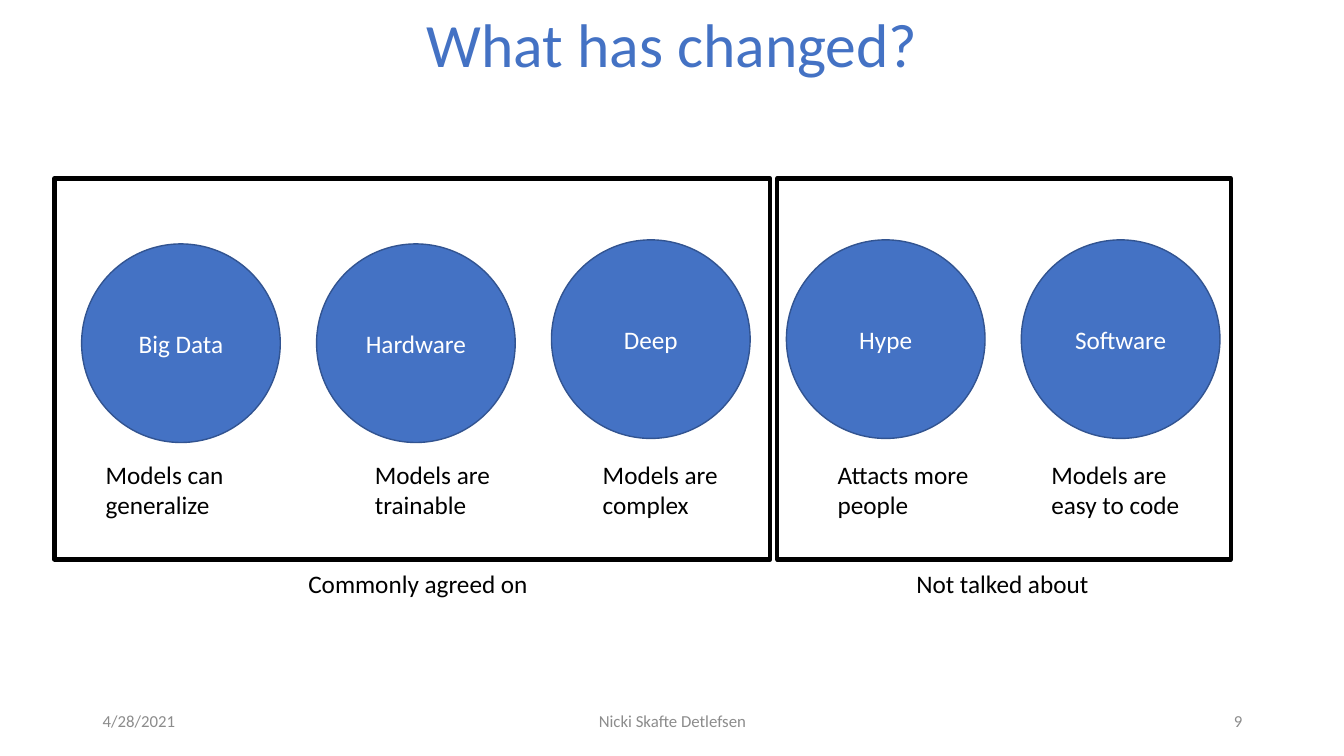
from pptx import Presentation
from pptx.dml.color import RGBColor
from pptx.enum.shapes import MSO_SHAPE
from pptx.enum.text import MSO_ANCHOR, PP_ALIGN
from pptx.util import Inches, Pt

OVAL, RECTANGLE = MSO_SHAPE.OVAL, MSO_SHAPE.RECTANGLE
TOP, MIDDLE = MSO_ANCHOR.TOP, MSO_ANCHOR.MIDDLE
LEFT, CENTER, RIGHT = PP_ALIGN.LEFT, PP_ALIGN.CENTER, PP_ALIGN.RIGHT


def color(hex_string):
    return RGBColor.from_string(hex_string)


class SlideBuilder:
    FONT = "Calibri"
    BLUE, DARK_BLUE = "4472C4", "325491"
    BLACK, WHITE, GRAY = "000000", "FFFFFF", "8C8C8C"

    def __init__(self, slide):
        self.slide = slide

    def set_wording(self, frame, wording, size, ink, align, anchor):
        """Fill a text frame with one styled paragraph."""
        frame.word_wrap = True
        frame.vertical_anchor = anchor
        paragraph = frame.paragraphs[0]
        paragraph.alignment = align
        run = paragraph.add_run()
        run.text = wording
        run.font.name = self.FONT
        run.font.size = Pt(size)
        run.font.color.rgb = color(ink)
        return paragraph

    def text(self, box, wording, size=18, ink=BLACK, align=LEFT, anchor=TOP):
        frame = self.slide.shapes.add_textbox(*map(Inches, box)).text_frame
        return self.set_wording(frame, wording, size, ink, align, anchor)

    def outline(self, preset, box, ink, width):
        """Add a shape with a line and no shadow."""
        shape = self.slide.shapes.add_shape(preset, *map(Inches, box))
        shape.shadow.inherit = False
        shape.line.color.rgb = color(ink)
        shape.line.width = Pt(width)
        return shape

    def circle(self, left, top, diameter, label):
        circle = self.outline(OVAL, (left, top, diameter, diameter), self.DARK_BLUE, 1)
        circle.fill.solid()
        circle.fill.fore_color.rgb = color(self.BLUE)
        self.set_wording(circle.text_frame, label, 18, self.WHITE, CENTER, MIDDLE)

    def group_frame(self, left, width):
        self.outline(RECTANGLE, (left, 1.77, width, 3.78), self.BLACK, 3).fill.background()


def main():
    presentation = Presentation()
    presentation.slide_width = Inches(13.33)
    presentation.slide_height = Inches(7.5)
    builder = SlideBuilder(presentation.slides.add_slide(presentation.slide_layouts[6]))

    title = builder.text((0.92, -0.25, 11.5, 1.45), "What has changed?",
                         44, builder.BLUE, CENTER, MIDDLE)
    title.line_spacing = 0.9

    footers = [
        (0.92, 3, "4/28/2021", LEFT),
        (4.42, 4.5, "Nicki Skafte Detlefsen", CENTER),
        (9.42, 3, "9", RIGHT),
    ]
    for left, width, wording, align in footers:
        builder.text((left, 6.95, width, 0.4), wording, 12, builder.GRAY, align, MIDDLE)

    # Label, circle top, effect, effect left
    drivers = [
        ("Big Data", 2.42, "Models can generalize", 0.95),
        ("Hardware", 2.42, "Models are trainable", 3.62),
        ("Deep", 2.38, "Models are complex", 5.88),
        ("Hype", 2.38, "Attacts more people", 8.21),
        ("Software", 2.38, "Models are easy to code", 10.33),
    ]
    first_circle, circle_step = 0.81, 2.33
    for index, (label, top, effect, effect_left) in enumerate(drivers):
        builder.circle(first_circle + index * circle_step, top, 1.97, label)
        builder.text((effect_left, 4.51, 1.56, 0.71), effect)

    groups = [
        (0.54, 7.1, "Commonly agreed on", 2.96),
        (7.71, 4.5, "Not talked about", 8.99),
    ]
    for left, width, caption, caption_left in groups:
        builder.group_frame(left, width)
        builder.text((caption_left, 5.59, 3.5, 0.4), caption)

    presentation.save("out.pptx")


if __name__ == "__main__":
    main()
